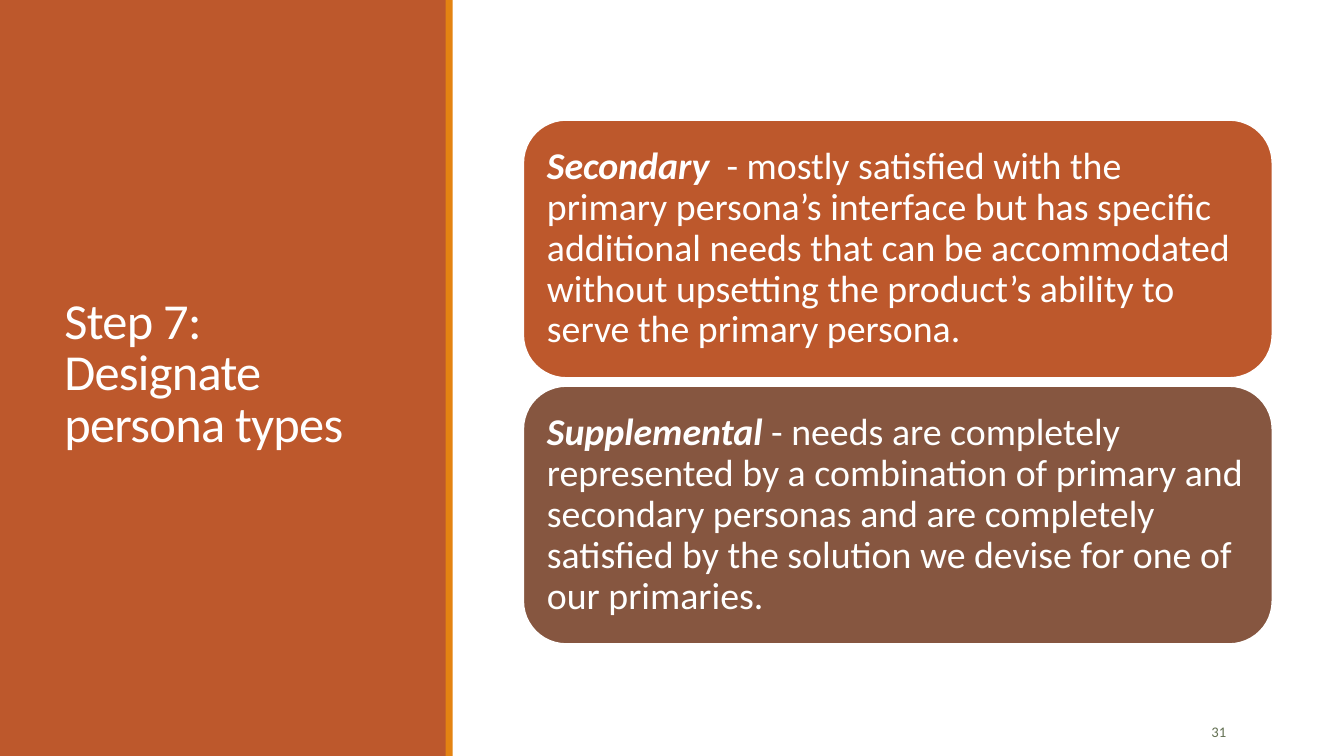
from pptx import Presentation
from pptx.dml.color import RGBColor
from pptx.enum.shapes import MSO_SHAPE
from pptx.enum.text import MSO_ANCHOR, PP_ALIGN
from pptx.util import Inches, Pt

RECTANGLE = MSO_SHAPE.RECTANGLE
ROUNDED = MSO_SHAPE.ROUNDED_RECTANGLE
MIDDLE = MSO_ANCHOR.MIDDLE
LEFT, RIGHT = PP_ALIGN.LEFT, PP_ALIGN.RIGHT

WIDTH, HEIGHT = 13.33, 7.5
PANEL_WIDTH = 4.43
RUST, ORANGE, BROWN, WHITE, GREEN = "BD582C", "E48312", "865640", "FFFFFF", "637052"

presentation = Presentation()
presentation.slide_width = Inches(WIDTH)
presentation.slide_height = Inches(HEIGHT)
slide = presentation.slides.add_slide(presentation.slide_layouts[6])


def add_block(kind, left, top, width, height, color):
    shape = slide.shapes.add_shape(
        kind, Inches(left), Inches(top), Inches(width), Inches(height))
    shape.shadow.inherit = False
    shape.fill.solid()
    shape.fill.fore_color.rgb = RGBColor.from_string(color)
    shape.line.fill.background()
    return shape


def write(shape, texts, size, color, align=LEFT, spacing=1.0, after=0):
    frame = shape.text_frame
    frame.word_wrap = True
    frame.vertical_anchor = MIDDLE
    paragraph = frame.paragraphs[0]
    paragraph.alignment = align
    paragraph.line_spacing = spacing
    paragraph.space_after = Pt(after)
    for text in texts:
        run = paragraph.add_run()
        run.text = text
        run.font.name = "Calibri"
        run.font.size = Pt(size)
        run.font.color.rgb = RGBColor.from_string(color)
    return paragraph.runs


# Side panel with its accent stripe
add_block(RECTANGLE, 0, 0, PANEL_WIDTH, HEIGHT, RUST)
add_block(RECTANGLE, PANEL_WIDTH - 0.01, 0, 0.07, HEIGHT, ORANGE)

# Title
title = slide.shapes.add_textbox(Inches(0.54), Inches(0.57), Inches(3.37), Inches(6.31))
title_run = write(title, ["Step 7: Designate persona types"], 36, WHITE, spacing=0.85)[0]
title_run.font._element.set("spc", "-50")

# Persona type cards
CARD_LEFT, CARD_TOP, CARD_WIDTH, CARD_HEIGHT, CARD_GAP = 5.19, 1.19, 7.43, 2.56, 0.08
cards = [
    (RUST, "Secondary",
     "  - mostly satisfied with the primary persona’s interface but has specific "
     "additional needs that can be accommodated without upsetting the product’s "
     "ability to serve the primary persona."),
    (BROWN, "Supplemental",
     " - needs are completely represented by a combination of primary and secondary "
     "personas and are completely satisfied by the solution we devise for one of "
     "our primaries."),
]
for row, (color, name, description) in enumerate(cards):
    top = CARD_TOP + row * (CARD_HEIGHT + CARD_GAP)
    card = add_block(ROUNDED, CARD_LEFT, top, CARD_WIDTH, CARD_HEIGHT, color)
    card.line.color.rgb = RGBColor.from_string(WHITE)
    card.line.width = Pt(1.25)
    frame = card.text_frame
    frame.margin_left = frame.margin_right = Inches(0.11)
    frame.margin_top = frame.margin_bottom = Inches(0.11)
    name_run = write(card, [name, description], 27, WHITE, spacing=0.9, after=9.5)[0]
    name_run.font.bold = True
    name_run.font.italic = True

# Slide number
number = slide.shapes.add_textbox(Inches(11.07), Inches(7.06), Inches(1.19), Inches(0.4))
write(number, ["31"], 10.5, GREEN, align=RIGHT, after=6)

presentation.save("out.pptx")
